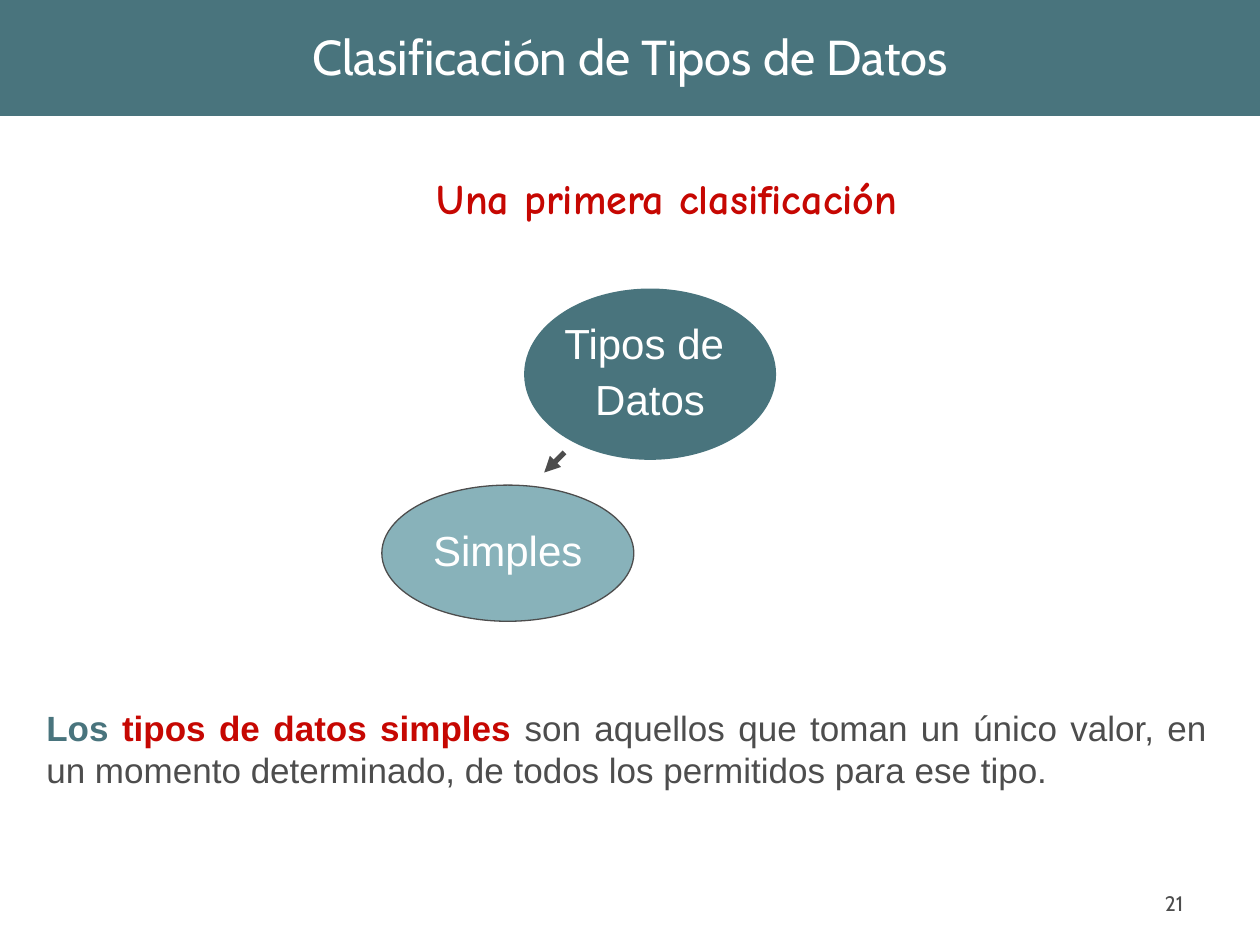
from dataclasses import dataclass

from lxml.etree import SubElement
from pptx import Presentation
from pptx.dml.color import RGBColor
from pptx.enum.shapes import MSO_CONNECTOR as Connector, MSO_SHAPE as Shape
from pptx.enum.text import MSO_ANCHOR as Anchor, PP_ALIGN as Align
from pptx.oxml.ns import qn
from pptx.util import Pt


@dataclass(frozen=True)
class Theme:
    """Colours, fonts and type sizes of the slide."""
    teal: str = "49747D"
    light_teal: str = "88B2BA"
    red: str = "C60702"
    gray: str = "4D4D4D"
    white: str = "FFFFFF"
    head_font: str = "Cabin"
    body_font: str = "Arial"
    note_font: str = "Comic Neue"
    title_size: int = 28
    node_size: int = 24
    body_size: int = 20
    number_size: int = 12


THEME = Theme()
TITLE = "Clasificación de Tipos de Datos"
SUBTITLE = "Una primera clasificación"
NODES = [
    (["Simples"], (218.2, 277.2, 144, 77.8), THEME.light_teal, THEME.gray),
    (["Tipos de ", "Datos"], (299.5, 164.9, 144, 97.9), THEME.teal, None),
]
ARROW = (322.6, 258.5, 311, 270)
DEFINITION = [
    ("Los ", THEME.teal, True),
    ("tipos de datos simples ", THEME.red, True),
    ("son aquellos que toman un único valor, en un momento determinado, "
     "de todos los permitidos para ese tipo.", THEME.gray, False),
]
PAGE_NUMBER = "21"


def color(value):
    """Turn a hex string into a colour."""
    return RGBColor.from_string(value)


def set_font(font, name, size, ink=None, bold=False):
    """Set the typeface, size, colour and weight of a font."""
    font.name, font.size, font.bold = name, Pt(size), bold
    if ink:
        font.color.rgb = color(ink)


def add_filled(page, kind, box, fill, outline=None):
    """Add a flat preset shape."""
    shape = page.shapes.add_shape(kind, *map(Pt, box))
    shape.shadow.inherit = False
    shape.fill.solid()
    shape.fill.fore_color.rgb = color(fill)
    if outline:
        shape.line.color.rgb = color(outline)
        shape.line.width = Pt(0.75)
    else:
        shape.line.fill.background()
    return shape


def add_text(page, box, anchor=Anchor.TOP):
    """Add a wrapping text box and return its frame."""
    frame = page.shapes.add_textbox(*map(Pt, box)).text_frame
    frame.word_wrap = True
    frame.vertical_anchor = anchor
    return frame


def write(frame, lines, align, font, spacing=None, before=None):
    """Fill a frame with one paragraph per line."""
    for index, line in enumerate(lines):
        para = frame.add_paragraph() if index else frame.paragraphs[0]
        para.text, para.alignment = line, align
        para.line_spacing = spacing
        if before is not None:
            para.space_before = Pt(before)
        set_font(para.font, *font)


def add_node(page, lines, box, fill, outline):
    """Add a labelled ellipse."""
    frame = add_filled(page, Shape.OVAL, box, fill, outline).text_frame
    frame.word_wrap = False
    frame.vertical_anchor = Anchor.MIDDLE
    font = (THEME.body_font, THEME.node_size, THEME.white)
    write(frame, lines, Align.CENTER, font, 0.9, 6)


def add_arrow(page, ends):
    """Add a straight line with a triangular head at its end."""
    arrow = page.shapes.add_connector(Connector.STRAIGHT, *map(Pt, ends))
    arrow.line.color.rgb = color(THEME.gray)
    arrow.line.width = Pt(3)
    SubElement(arrow.line._get_or_add_ln(), qn("a:tailEnd"), type="triangle")
    SubElement(arrow._element.spPr, qn("a:effectLst"))


def add_definition(page):
    """Add the justified definition with its coloured term."""
    para = add_text(page, (19.4, 400.3, 677.5, 85)).paragraphs[0]
    para.alignment = Align.JUSTIFY
    for text, ink, bold in DEFINITION:
        span = para.add_run()
        span.text = text
        set_font(span.font, THEME.body_font, THEME.body_size, ink, bold)


def main():
    """Build and save the slide."""
    deck = Presentation()
    deck.slide_width, deck.slide_height = Pt(720), Pt(540)
    page = deck.slides.add_slide(deck.slide_layouts[6])

    banner = add_filled(page, Shape.RECTANGLE, (0, -2.2, 720, 68.4), THEME.teal)
    banner.text_frame.vertical_anchor = Anchor.MIDDLE
    write(banner.text_frame, [TITLE], Align.CENTER,
          (THEME.head_font, THEME.title_size, THEME.white))

    add_definition(page)
    for node in NODES:
        add_node(page, *node)
    add_arrow(page, ARROW)

    write(add_text(page, (175.7, 98.6, 411.1, 33.1)), [SUBTITLE], Align.CENTER,
          (THEME.note_font, THEME.node_size, THEME.red, True), 0.9, 15)
    write(add_text(page, (515.5, 491, 167.8, 36), Anchor.BOTTOM), [PAGE_NUMBER],
          Align.RIGHT, (THEME.head_font, THEME.number_size, THEME.gray))
    deck.save("out.pptx")


if __name__ == "__main__":
    main()
